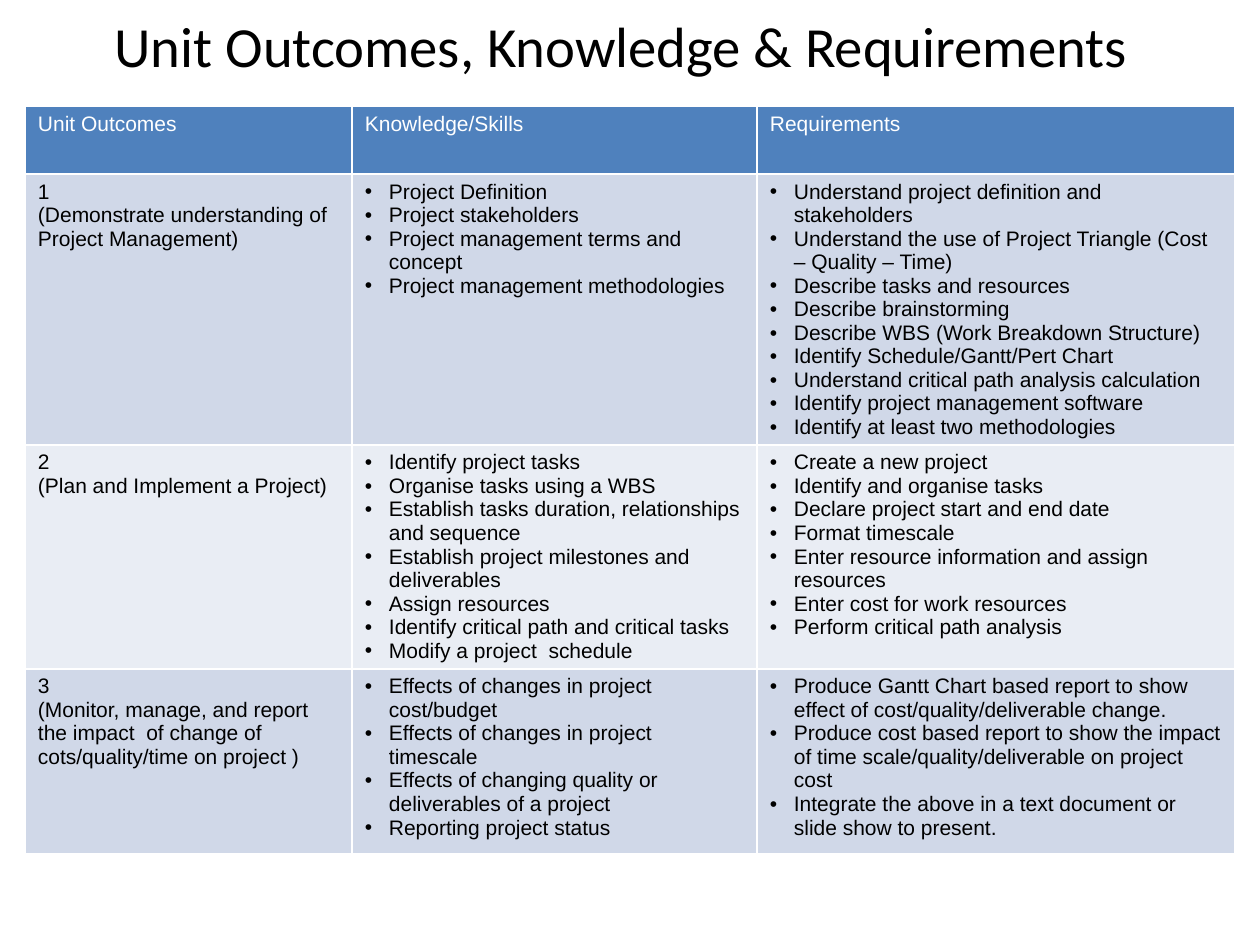
from lxml.etree import SubElement
from pptx import Presentation
from pptx.dml.color import RGBColor
from pptx.enum.text import MSO_ANCHOR, PP_ALIGN
from pptx.oxml.ns import qn
from pptx.util import Pt

SCALE = 914400 // 126
BLACK = RGBColor(0x00, 0x00, 0x00)
WHITE = RGBColor(0xFF, 0xFF, 0xFF)
BLUE = RGBColor(0x4F, 0x81, 0xBD)
BANDS = [RGBColor(0xD0, 0xD8, 0xE8), RGBColor(0xE9, 0xED, 0xF4)]
WIDTHS = [327, 405, 478]
HEIGHTS = [68, 271, 224, 185]
HEADS = ["Unit Outcomes", "Knowledge/Skills", "Requirements"]
UNITS = [
    (
        ["1", "(Demonstrate understanding of Project Management)"],
        ["Project Definition", "Project stakeholders",
         "Project management terms and concept",
         "Project management methodologies"],
        ["Understand project definition and stakeholders",
         "Understand the use of Project Triangle (Cost – Quality – Time)",
         "Describe tasks and resources", "Describe brainstorming",
         "Describe WBS (Work Breakdown Structure)",
         "Identify Schedule/Gantt/Pert Chart",
         "Understand critical path analysis calculation",
         "Identify project management software",
         "Identify at least two methodologies"],
    ),
    (
        ["2", "(Plan and Implement a Project)"],
        ["Identify project tasks", "Organise tasks using a WBS",
         "Establish tasks duration, relationships and sequence",
         "Establish project milestones and deliverables",
         "Assign resources", "Identify critical path and critical tasks",
         "Modify a project  schedule"],
        ["Create a new project", "Identify and organise tasks",
         "Declare project start and end date", "Format timescale",
         "Enter resource information and assign resources",
         "Enter cost for work resources", "Perform critical path analysis"],
    ),
    (
        ["3", "(Monitor, manage, and report the impact  of change of "
         "cots/quality/time on project )"],
        ["Effects of changes in project cost/budget",
         "Effects of changes in project timescale",
         "Effects of changing quality or deliverables of a project",
         "Reporting project status"],
        ["Produce Gantt Chart based report to show effect of "
         "cost/quality/deliverable change.",
         "Produce cost based report to show the impact of time "
         "scale/quality/deliverable on project cost",
         "Integrate the above in a text document or slide show to present."],
    ),
]


def px(num):
    """Turn pixels into EMU."""
    return num * SCALE


def add_run(para, text, font, size, color):
    """Add one formatted run."""
    run = para.add_run()
    run.text = text
    run.font.name = font
    run.font.size = Pt(size)
    run.font.color.rgb = color


def add_dot(para):
    """Give a paragraph a hanging bullet."""
    props = para._p.get_or_add_pPr()
    props.set("marL", str(px(24)))
    props.set("indent", str(-px(24)))
    SubElement(props, qn("a:buFont")).set("typeface", "Arial")
    SubElement(props, qn("a:buChar")).set("char", "•")


def add_edges(cell):
    """Draw thin white borders round a cell."""
    props = cell._tc.get_or_add_tcPr()
    for side in "LRTB":
        line = SubElement(props, qn(f"a:ln{side}"), w=str(Pt(1)))
        fill = SubElement(line, qn("a:solidFill"))
        SubElement(fill, qn("a:srgbClr")).set("val", str(WHITE))


def fill_cell(cell, lines, color, back, dots):
    """Fill a cell with its lines of text."""
    add_edges(cell)
    cell.fill.solid()
    cell.fill.fore_color.rgb = back
    cell.margin_left = cell.margin_right = px(13)
    cell.margin_top = cell.margin_bottom = px(6)
    frame = cell.text_frame
    for num, line in enumerate(lines):
        para = frame.add_paragraph() if num else frame.paragraphs[0]
        if dots:
            add_dot(para)
        add_run(para, line, "Arial", 12, color)


def add_title(slide, text):
    """Place and format the slide title."""
    title = slide.shapes.title
    title.left, title.top, title.width, title.height = map(px, (54, 1, 1134, 87))
    frame = title.text_frame
    frame.vertical_anchor = MSO_ANCHOR.MIDDLE
    para = frame.paragraphs[0]
    para.alignment = PP_ALIGN.CENTER
    add_run(para, text, "Calibri", 32.4, BLACK)


def add_grid(slide):
    """Build the table of units."""
    table = slide.shapes.add_table(
        len(HEIGHTS), len(WIDTHS), px(25), px(106),
        px(sum(WIDTHS)), px(sum(HEIGHTS))).table
    for col, width in zip(table.columns, WIDTHS):
        col.width = px(width)
    for row, height in zip(table.rows, HEIGHTS):
        row.height = px(height)
    for col, head in enumerate(HEADS):
        fill_cell(table.cell(0, col), [head], WHITE, BLUE, False)
    for row, unit in enumerate(UNITS):
        for col, lines in enumerate(unit):
            fill_cell(table.cell(row + 1, col), lines, BLACK,
                      BANDS[row % 2], col > 0)


def main():
    """Build and save the slide."""
    deck = Presentation()
    deck.slide_width, deck.slide_height = px(1260), px(945)
    slide = deck.slides.add_slide(deck.slide_layouts[5])
    add_title(slide, "Unit Outcomes, Knowledge & Requirements")
    add_grid(slide)
    deck.save("out.pptx")


main()
